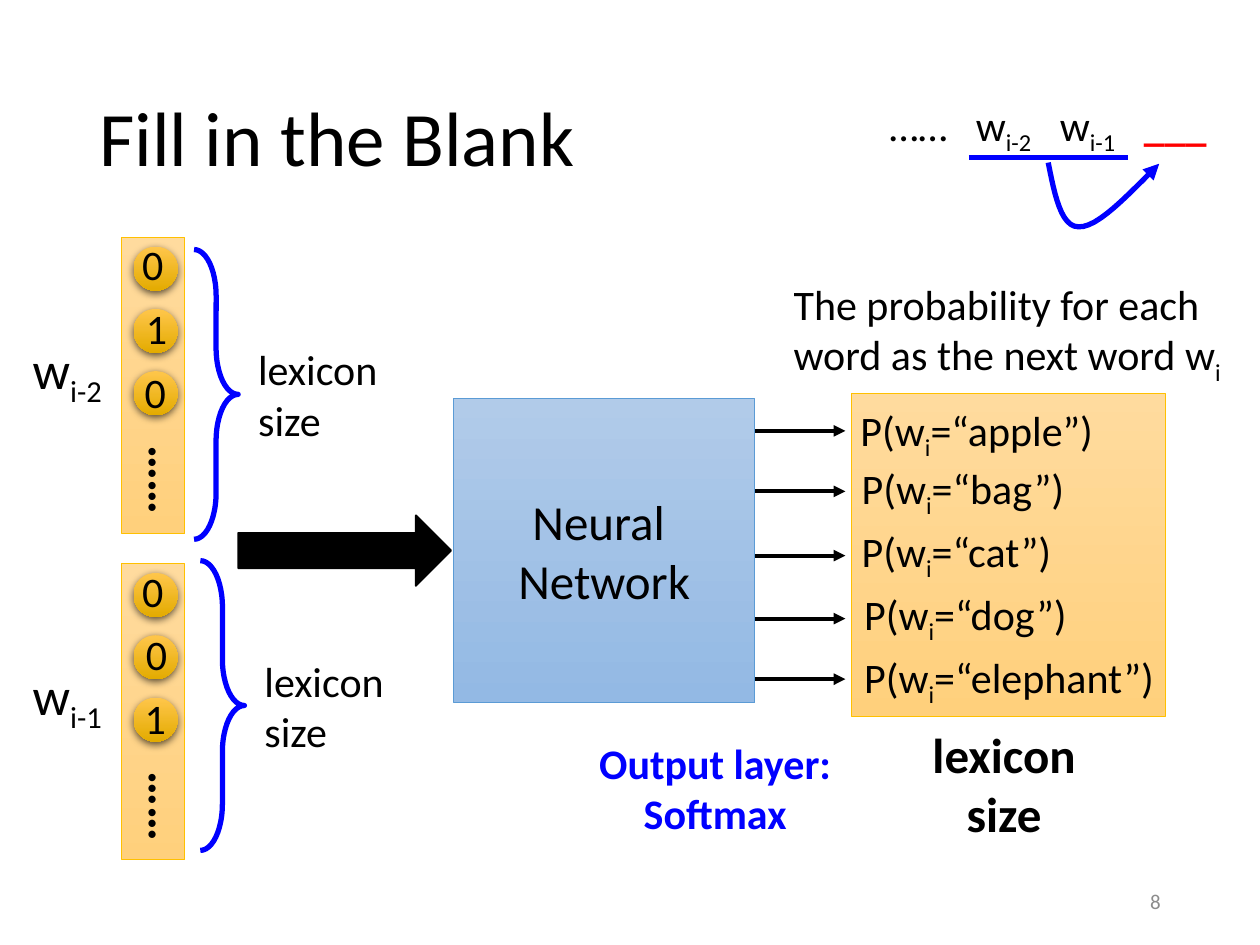
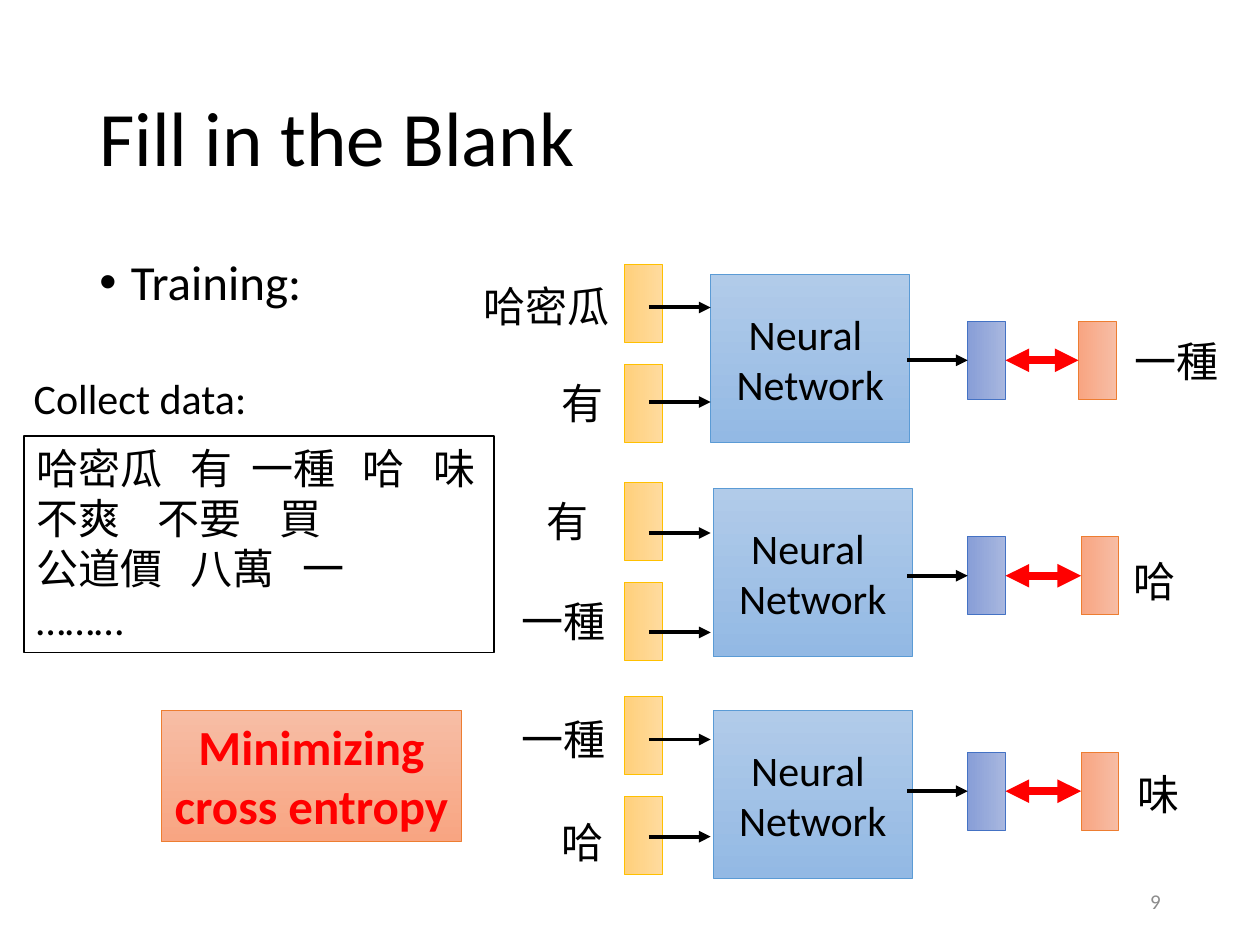
from dataclasses import dataclass, field
from typing import NamedTuple

from lxml.etree import SubElement
from pptx import Presentation
from pptx.dml.color import RGBColor
from pptx.enum.shapes import MSO_CONNECTOR, MSO_SHAPE
from pptx.enum.text import MSO_ANCHOR, PP_ALIGN
from pptx.oxml import parse_xml
from pptx.oxml.ns import nsdecls, qn
from pptx.util import Pt

COLORS = {"black": "000000", "white": "FFFFFF", "blue": "0000FF", "red": "FF0000", "gray": "8C8C8C"}
PALETTES = {
    "gold": ("FFDB9E", "FFD07C", "FFC000"),
    "sky": ("B1CBE9", "93B9E4", "5B9BD5"),
    "indigo": ("A8B7DF", "889ED7", "4472C4"),
    "orange": ("F7BDA5", "F8A582", "ED7D31"),
    "neuron": ("FFC64B", "E3AB00", None),
}
FONT = "Calibri"
DOWNWARD, LEFTWARD = 270, 180
BOTTOM_SHADOW = (
    f'<a:effectLst {nsdecls("a")}><a:outerShdw blurRad="57150" dist="19050" dir="5400000" algn="ctr" '
    'rotWithShape="0"><a:srgbClr val="000000"><a:alpha val="63000"/></a:srgbClr></a:outerShdw></a:effectLst>'
)


class Box(NamedTuple):
    left: float
    top: float
    width: float
    height: float

    def lengths(self) -> tuple:
        return tuple(Pt(value) for value in self)


class Spot(NamedTuple):
    text: str
    left: float
    top: float


@dataclass
class TextStyle:
    size: float = 24
    color: str = "black"
    bold: bool = False
    anchor: MSO_ANCHOR = MSO_ANCHOR.TOP
    paragraph: dict = field(default_factory=lambda: {"alignment": PP_ALIGN.LEFT})
    tabs: tuple = ()
    bullet: str = ""


@dataclass
class InputWord:
    name: str
    top: float
    digits: str
    brace_left: float
    brace_top: float


class Probability(NamedTuple):
    word: str
    left: float
    top: float
    width: float
    arrow_top: float


@dataclass
class TrainingSample:
    words: tuple
    input_top: float
    arrow_tops: tuple
    network_left: float
    network_top: float
    output_top: float
    target_left: float
    answer: Spot


CENTERED = {"alignment": PP_ALIGN.CENTER}
BODY = TextStyle()
CENTER = TextStyle(paragraph=CENTERED)
TITLE = TextStyle(44, anchor=MSO_ANCHOR.MIDDLE, paragraph={"line_spacing": 0.9})
PAGE_NUMBER = TextStyle(12, "gray", anchor=MSO_ANCHOR.MIDDLE, paragraph={"alignment": PP_ALIGN.RIGHT})
TRAINING = TextStyle(28, paragraph={"line_spacing": 0.9, "space_before": Pt(10)}, bullet="•")

INPUT_WORDS = (
    InputWord("w[i-2]", 135.7, "010", 110.9, 142.6),
    InputWord("w[i-1]", 322.2, "001", 114.5, 320.4),
)
PROBABILITIES = (
    Probability("apple", 484.6, 227.5, 149.8, 246.2),
    Probability("bag", 485.3, 260.6, 149.8, 280.8),
    Probability("cat", 485.3, 296.6, 149.8, 317.5),
    Probability("dog", 486.7, 332.6, 149.8, 353.5),
    Probability("elephant", 486.7, 368.6, 183.6, 388.1),
)
SAMPLES = (
    TrainingSample((Spot("哈密瓜", 267.1, 157), Spot("有", 288, 212.4)), 151.2, (175.7, 229.7),
                   406.1, 157, 183.6, 616.3, Spot("一種", 627.1, 187.9)),
    TrainingSample((Spot("有", 279.4, 279.4), Spot("一種", 277.2, 337)), 275.8, (304.6, 361.4),
                   407.5, 279.4, 306.7, 617.8, Spot("哈", 614.9, 313.9)),
    TrainingSample((Spot("一種", 277.2, 403.9), Spot("哈", 288, 463)), 398.2, (422.6, 478.1),
                   407.5, 406.1, 429.8, 617.8, Spot("味", 617, 435.6)),
)
CORPUS = "哈密瓜\t有\t一種\t哈\t味\n不爽\t不要\t買\n公道價\t八萬\t一\n………"
CORPUS_TABS = ((88, 123, 186.5, 227), (69.5, 139), (88, 152), ())


def rgb(name: str) -> RGBColor:
    return RGBColor.from_string(COLORS.get(name, name))


def add_runs(paragraph, text: str, style: TextStyle) -> None:
    for index, part in enumerate(text.replace("]", "[").split("[")):
        if not part:
            continue
        run = paragraph.add_run()
        run.text = part
        for name, value in {"name": FONT, "size": Pt(style.size), "bold": style.bold}.items():
            setattr(run.font, name, value)
        run.font.color.rgb = rgb(style.color)
        if index % 2:
            run._r.get_or_add_rPr().set("baseline", "-25000")


def write_text(shape, text: str, style: TextStyle):
    frame = shape.text_frame
    for name, value in {"word_wrap": True, "vertical_anchor": style.anchor}.items():
        setattr(frame, name, value)
    for index, line in enumerate(text.split("\n")):
        paragraph = frame.add_paragraph() if index else frame.paragraphs[0]
        for name, value in style.paragraph.items():
            setattr(paragraph, name, value)
        properties = paragraph._p.get_or_add_pPr()
        if style.bullet:
            properties.set("marL", str(Pt(18)))
            properties.set("indent", str(Pt(-18)))
            SubElement(properties, qn("a:buFont"), typeface="Arial")
            SubElement(properties, qn("a:buChar"), char=style.bullet)
        if style.tabs and style.tabs[index]:
            stops = SubElement(properties, qn("a:tabLst"))
            for position in style.tabs[index]:
                SubElement(stops, qn("a:tab"), pos=str(Pt(position)), algn="l")
        add_runs(paragraph, line, style)
    return shape


def add_label(slide, text: str, box: Box, style: TextStyle = BODY):
    return write_text(slide.shapes.add_textbox(*box.lengths()), text, style)


def add_plain(slide, kind: MSO_SHAPE, box: Box, line_color: str, width: float, fill: str = ""):
    shape = slide.shapes.add_shape(kind, *box.lengths())
    shape.shadow.inherit = False
    if fill:
        shape.fill.solid()
        shape.fill.fore_color.rgb = rgb(fill)
    else:
        shape.fill.background()
    shape.line.color.rgb = rgb(line_color)
    shape.line.width = Pt(width)
    return shape


def add_panel(slide, box: Box, palette: str, angle: float = DOWNWARD, kind: MSO_SHAPE = MSO_SHAPE.RECTANGLE):
    start, end, border = PALETTES[palette]
    shape = add_plain(slide, kind, box, border or start, 0.5)
    shape.fill.gradient()
    shape.fill.gradient_angle = angle
    for stop, color, position in zip(shape.fill.gradient_stops, (start, end), (0, 1)):
        stop.color.rgb = rgb(color)
        stop.position = position
    if not border:
        shape.line.fill.background()
    return shape


def add_network(slide, box: Box, size: float):
    style = TextStyle(size, anchor=MSO_ANCHOR.MIDDLE, paragraph=CENTERED)
    return write_text(add_panel(slide, box, "sky"), "Neural \nNetwork", style)


def add_arrowheads(shape, *ends: str) -> None:
    line = shape.line._get_or_add_ln()
    for end in ends:
        SubElement(line, qn(f"a:{end}"), type="triangle")


def add_line(slide, left: float, right: float, top: float, color: str = "black",
             width: float = 2.25, ends: tuple = ("tailEnd",)):
    connector = slide.shapes.add_connector(MSO_CONNECTOR.STRAIGHT, Pt(left), Pt(top), Pt(right), Pt(top))
    connector.line.color.rgb = rgb(color)
    connector.line.width = Pt(width)
    add_arrowheads(connector, *ends)
    SubElement(connector._element.spPr, qn("a:effectLst"))
    return connector


def add_curved_arrow(slide, curves: tuple, steps: int = 12) -> None:
    points = []
    for curve in curves:
        for step in range(1, steps + 1):
            t = step / steps
            weights = ((1 - t) ** 3, 3 * t * (1 - t) ** 2, 3 * t * t * (1 - t), t ** 3)
            points.append(tuple(Pt(sum(w * p[axis] for w, p in zip(weights, curve))) for axis in (0, 1)))
    builder = slide.shapes.build_freeform(*(Pt(value) for value in curves[0][0]))
    builder.add_line_segments(points, close=False)
    shape = builder.convert_to_shape()
    shape.shadow.inherit = False
    shape.fill.background()
    shape.line.color.rgb = rgb("blue")
    shape.line.width = Pt(3)
    add_arrowheads(shape, "tailEnd")


def add_slide(presentation, number: int):
    slide = presentation.slides.add_slide(presentation.slide_layouts[6])
    slide.background.fill.solid()
    slide.background.fill.fore_color.rgb = rgb("white")
    add_label(slide, "Fill in the Blank", Box(49.7, 28.8, 620.6, 104.4), TITLE)
    add_label(slide, str(number), Box(508.3, 500.4, 162, 28.8), PAGE_NUMBER)
    return slide


def add_input_word(slide, word: InputWord) -> None:
    add_label(slide, word.name, Box(11.5, word.top + 53.3, 72.7, 43.9), TextStyle(30))
    add_panel(slide, Box(69.5, word.top, 36, 169.2), "gold")
    for index, (digit, left) in enumerate(zip(word.digits, (74.2, 76.3, 75.6))):
        neuron = add_panel(slide, Box(76.3, word.top + 5.2 + 35.6 * index, 25.2, 25.2), "neuron",
                           kind=MSO_SHAPE.OVAL)
        properties = neuron._element.spPr
        properties.replace(properties.find(qn("a:effectLst")), parse_xml(BOTTOM_SHADOW))
        add_label(slide, digit, Box(left, word.top - 2.8 + 36.4 * index, 31, 36))
    dots = add_label(slide, "……", Box(69.8, word.top + 131.8, 67, 26.6), TextStyle(28, bold=True))
    dots.rotation = 90
    brace = add_plain(slide, MSO_SHAPE.RIGHT_BRACE, Box(word.brace_left, word.brace_top, 25.2, 165.6), "blue", 3)
    brace.adjustments[0] = 1.05
    add_label(slide, "lexicon size", Box(word.brace_left + 29.5, word.brace_top + 50.4, 87.8, 65.5))


def build_prediction_slide(presentation) -> None:
    slide = add_slide(presentation, 8)
    context = add_label(slide, "……\tw[i-2]\tw[i-1]", Box(501.1, 53.3, 218.9, 36),
                        TextStyle(tabs=((49.5, 97.5, 145.5),)))
    add_runs(context.text_frame.paragraphs[0], "\t___", TextStyle(color="red", bold=True))
    add_line(slide, 553.7, 644.4, 90, "blue", 3, ())
    add_curved_arrow(slide, (
        ((599, 92.9), (602.6, 110.9), (606.2, 129.6), (616.3, 129.6)),
        ((616.3, 129.6), (627.1, 130.3), (644.4, 111.6), (662.4, 93.6)),
    ))
    for word in INPUT_WORDS:
        add_input_word(slide, word)
    add_panel(slide, Box(486.7, 224.6, 179.3, 185), "gold")
    for item in PROBABILITIES:
        add_line(slide, 423.4, 483.1, item.arrow_top)
        add_label(slide, f"P(w[i]=“{item.word}”)", Box(item.left, item.top, item.width, 36))
    add_network(slide, Box(259.2, 227.5, 172.1, 174.2), 28)
    add_plain(slide, MSO_SHAPE.RIGHT_ARROW, Box(136.1, 294.5, 121.7, 40.3), "black", 1, "black")
    add_label(slide, "lexicon size", Box(519.8, 410.4, 108, 74.9), TextStyle(28, bold=True, paragraph=CENTERED))
    add_label(slide, "The probability for each word as the next word w[i]", Box(446.4, 155.5, 259.9, 65.5))
    add_label(slide, "Output layer: Softmax", Box(322.6, 417.6, 172.1, 65.5),
              TextStyle(color="blue", bold=True, paragraph=CENTERED))


def add_training_sample(slide, sample: TrainingSample) -> None:
    add_network(slide, Box(sample.network_left, sample.network_top, 113.8, 95.8), 24)
    for index, (word, arrow_top) in enumerate(zip(sample.words, sample.arrow_tops)):
        add_label(slide, word.text, Box(word.left, word.top, 90, 36), CENTER)
        add_panel(slide, Box(357.1, sample.input_top + 57 * index, 21.6, 44.6), "gold", LEFTWARD)
        add_line(slide, 370.8, 406.1, arrow_top)
    predicted, target = (
        add_panel(slide, Box(left, sample.output_top, 21.6, 44.6), palette, LEFTWARD)
        for left, palette in ((553, "indigo"), (sample.target_left, "orange"))
    )
    middle = sample.output_top + 22.3
    add_line(slide, 518.4, 553, middle).end_connect(predicted, 1)
    comparison = add_line(slide, 574.6, sample.target_left, middle, "red", 4.5, ("headEnd", "tailEnd"))
    comparison.begin_connect(predicted, 3)
    comparison.end_connect(target, 1)
    add_label(slide, sample.answer.text, Box(sample.answer.left, sample.answer.top, 90, 36), CENTER)


def build_training_slide(presentation) -> None:
    slide = add_slide(presentation, 9)
    add_label(slide, "Training:", Box(49.7, 144, 620.6, 342.7), TRAINING)
    add_label(slide, "Collect data:", Box(12.2, 209.5, 136.8, 36))
    corpus = add_plain(slide, MSO_SHAPE.RECTANGLE, Box(13.7, 249.1, 268.6, 123.8), "black", 0.75)
    write_text(corpus, CORPUS, TextStyle(tabs=CORPUS_TABS))
    goal = add_panel(slide, Box(92.2, 406.1, 171.4, 74.9), "orange")
    write_text(goal, "Minimizing cross entropy", TextStyle(28, "red", True, paragraph=CENTERED))
    for sample in SAMPLES:
        add_training_sample(slide, sample)


def main() -> None:
    presentation = Presentation()
    presentation.slide_width, presentation.slide_height = Pt(720), Pt(540)
    build_prediction_slide(presentation)
    build_training_slide(presentation)
    presentation.save("out.pptx")


if __name__ == "__main__":
    main()
